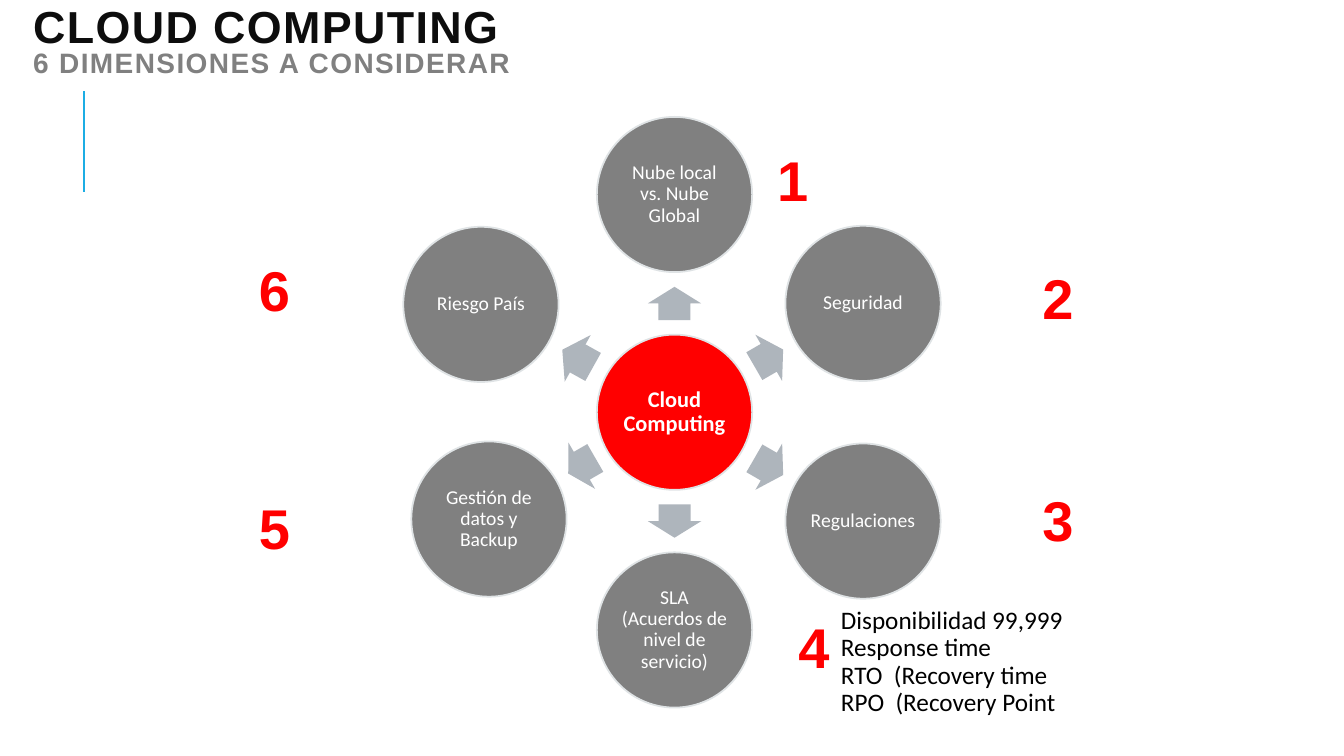
import math
from pptx import Presentation
from pptx import util as u
from pptx.dml.color import RGBColor
from pptx.enum import shapes, text
from lxml import etree

PX = 9144
RED = RGBColor(0xFF, 0, 0)
GREY = RGBColor(0x80, 0x80, 0x80)
RIM = RGBColor(0xDF, 0xE3, 0xE5)
STEEL = RGBColor(0xAE, 0xB5, 0xBC)
BLUE = RGBColor(0x1C, 0xAD, 0xE4)
INK = RGBColor(0x0D, 0x0D, 0x0D)
BLACK = RGBColor(0, 0, 0)
WHITE = RGBColor(0xFF, 0xFF, 0xFF)

SIZE = 154
HUB = (669, 409)
NODES = [
    ("Nube local vs. Nube Global", 669, 193, 761, 139),
    ("Seguridad", 856, 301, 1024, 257),
    ("Regulaciones", 856, 517, 1024, 477),
    ("SLA (Acuerdos de nivel de servicio)", 669, 625, 782, 603),
    ("Gestión de datos y Backup", 485, 515, 247, 485),
    ("Riesgo País", 477, 302, 247, 249),
]
NOTES = ["Disponibilidad 99,999", "Response time", "RTO  (Recovery time", "RPO  (Recovery Point"]

deck = Presentation()
deck.slide_width, deck.slide_height = 1333 * PX, 750 * PX
slide = deck.slides.add_slide(deck.slide_layouts[6])


def style(font, name, size, color, bold=False):
    font.name, font.size, font.bold = name, u.Pt(size), bold
    font.color.rgb = color


def circle(label, x, y, fill, size, bold):
    disc = slide.shapes.add_shape(
        shapes.MSO_SHAPE.OVAL, (x - SIZE // 2) * PX, (y - SIZE // 2) * PX, SIZE * PX, SIZE * PX)
    disc.shadow.inherit = False
    disc.fill.solid()
    disc.fill.fore_color.rgb = fill
    disc.line.color.rgb = RIM
    disc.line.width = u.Pt(1.25)
    frame = disc.text_frame
    frame.text = label
    frame.word_wrap = True
    frame.vertical_anchor = text.MSO_ANCHOR.MIDDLE
    frame.margin_left = frame.margin_right = frame.margin_top = frame.margin_bottom = 2 * PX
    para = frame.paragraphs[0]
    para.alignment = text.PP_ALIGN.CENTER
    para.line_spacing = 0.9
    style(para.runs[0].font, "Calibri", size, WHITE, bold)


rule = slide.shapes.add_connector(shapes.MSO_CONNECTOR.STRAIGHT, 83 * PX, 190 * PX, 83 * PX, 90 * PX)
rule.line.color.rgb = BLUE
rule.line.width = u.Pt(1.5)
props = rule.line._get_or_add_ln().getparent()
etree.SubElement(props, "{http://schemas.openxmlformats.org/drawingml/2006/main}effectLst")

title = slide.shapes.add_textbox(23 * PX, -19 * PX, 1200 * PX, 125 * PX).text_frame
title.word_wrap = True
title.vertical_anchor = text.MSO_ANCHOR.MIDDLE
head = title.paragraphs[0]
head.text = "CLOUD COMPUTING\v6 DIMENSIONES A CONSIDERAR"
head.line_spacing = 0.8
for run, size, color in zip(head.runs, (32, 20), (INK, GREY)):
    style(run.font, "Arial", size, color, True)
    run._r.get_or_add_rPr().set("spc", "100")

circle("Cloud Computing", *HUB, RED, 16, True)
for num, (label, x, y, left, top) in enumerate(NODES, 1):
    dx, dy = x - HUB[0], y - HUB[1]
    wide, high = round((math.hypot(dx, dy) - SIZE) * 0.53), 53
    midx, midy = HUB[0] + dx / 2, HUB[1] + dy / 2
    arrow = slide.shapes.add_shape(
        shapes.MSO_SHAPE.RIGHT_ARROW, round((midx - wide / 2) * PX), round((midy - high / 2) * PX),
        wide * PX, high * PX)
    arrow.adjustments[0], arrow.adjustments[1] = 0.6, 0.5
    arrow.rotation = math.degrees(math.atan2(dy, dx)) % 360
    arrow.shadow.inherit = False
    arrow.fill.solid()
    arrow.fill.fore_color.rgb = STEEL
    arrow.line.fill.background()

    circle(label, x, y, GREY, 14, False)

    digit = slide.shapes.add_textbox(left * PX, top * PX, 51 * PX, 77 * PX).text_frame
    digit.word_wrap = False
    digit.text = str(num)
    style(digit.paragraphs[0].runs[0].font, "Arial", 40, RED, True)

notes = slide.shapes.add_textbox(834 * PX, 603 * PX, 338 * PX, 100 * PX).text_frame
notes.word_wrap = False
notes.margin_left = notes.margin_right = notes.margin_top = notes.margin_bottom = 0
notes.text = "\n".join(NOTES)
for para in notes.paragraphs:
    para.line_spacing = 0.9
    style(para.runs[0].font, "Calibri", 18, BLACK)

deck.save("out.pptx")
